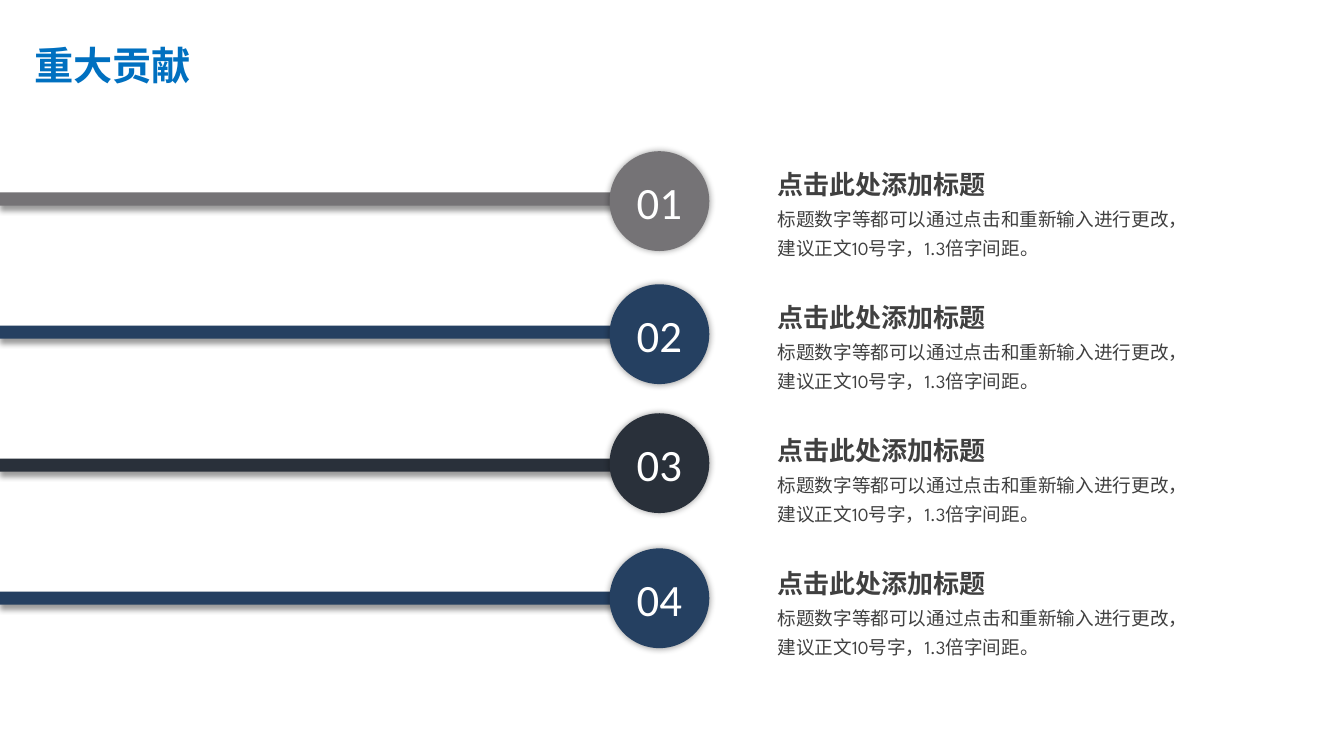
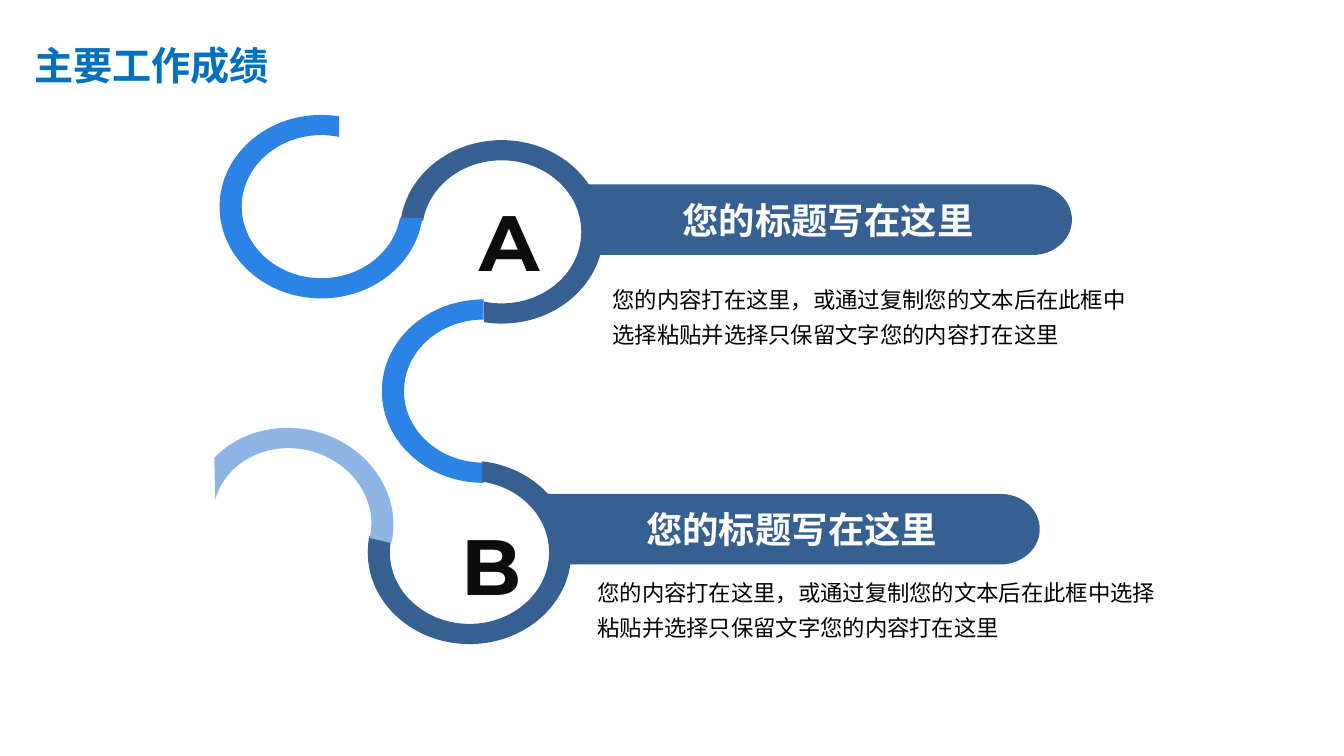
"""Build two slides: four numbered contributions and a winding path of results."""
from dataclasses import dataclass
from math import cos, radians, sin, tan

from lxml.etree import SubElement
from pptx import Presentation
from pptx.dml.color import RGBColor
from pptx.enum.shapes import MSO_SHAPE as Preset
from pptx.enum.text import MSO_ANCHOR as Anchor, MSO_AUTO_SIZE as AutoSize, PP_ALIGN as Align
from pptx.oxml.ns import qn
from pptx.util import Emu, Pt

EMU_PER_PX = 9144
TITLE_ONLY = 5


@dataclass(frozen=True)
class TextStyle:
    font: str
    size: float
    color: str
    bold: bool = False
    spacing: float = 1.0


@dataclass(frozen=True)
class Theme:
    cjk_font: str = "Noto Sans CJK SC"
    gray: str = "757376"
    navy: str = "254061"
    charcoal: str = "29303A"
    steel: str = "376092"
    azure: str = "2B83E5"
    sky: str = "8EB4E3"
    shadow: str = "000000"
    title: TextStyle = TextStyle("Noto Sans CJK SC", 28, "0070C0", True)
    number: TextStyle = TextStyle("Calibri", 32, "FFFFFF")
    heading: TextStyle = TextStyle("Calibri", 18.6, "404040", True, 1.3)
    detail: TextStyle = TextStyle("League Spartan", 13.3, "404040", False, 1.3)
    banner: TextStyle = TextStyle("Noto Sans CJK SC", 26, "FFFFFF", True)
    letter: TextStyle = TextStyle("Montserrat", 56, "0D0D0D", True)
    body: TextStyle = TextStyle("Noto Sans CJK SC", 16, "000000", False, 1.3)


THEME = Theme()
NARROW_INSETS = (10, 5)
WIDE_INSETS = (13, 6)
OUTER_RADII = (101, 91)
INNER_RADII = (79, 71)


def px(length):
    return Emu(round(length * EMU_PER_PX))


def write(shape, text, style, align=Align.LEFT, anchor=Anchor.TOP, insets=NARROW_INSETS):
    frame = shape.text_frame
    frame.text = text
    frame.word_wrap = True
    frame.vertical_anchor = anchor
    frame.margin_left = frame.margin_right = px(insets[0])
    frame.margin_top = frame.margin_bottom = px(insets[1])
    paragraph = frame.paragraphs[0]
    paragraph.alignment = align
    paragraph.line_spacing = style.spacing
    for run in paragraph.runs:
        run.font.name = style.font
        run.font.size = Pt(style.size)
        run.font.bold = style.bold
        run.font.color.rgb = RGBColor.from_string(style.color)
        SubElement(run.font._element, qn("a:ea"), typeface=THEME.cjk_font)


def paint(shape, color):
    shape.fill.solid()
    shape.fill.fore_color.rgb = RGBColor.from_string(color)
    shape.line.fill.background()
    shape.shadow.inherit = False


def cast_shadow(shape, blur, distance, angle):
    effects = shape._element.spPr.find(qn("a:effectLst"))
    shadow = SubElement(effects, qn("a:outerShdw"), blurRad=str(Pt(blur)), dist=str(Pt(distance)),
                        dir=str(angle * 60000), algn="ctr", rotWithShape="0")
    tint = SubElement(shadow, qn("a:srgbClr"), val=THEME.shadow)
    SubElement(tint, qn("a:alpha"), val="40000")


def add_preset(slide, preset, box, color):
    shape = slide.shapes.add_shape(preset, *map(px, box))
    paint(shape, color)
    return shape


def add_label(shapes, box, text, style, insets=NARROW_INSETS, wrap=True):
    label = shapes.add_textbox(*map(px, box))
    write(label, text, style, insets=insets)
    label.text_frame.word_wrap = wrap
    label.text_frame.auto_size = AutoSize.SHAPE_TO_FIT_TEXT


def add_outline(slide, start, segments, color):
    """Draw a closed outline whose segments hold one point (line) or three (curve)."""
    builder = slide.shapes.build_freeform(px(start[0]), px(start[1]))
    builder.add_line_segments([(px(x), px(y)) for segment in segments for x, y in segment])
    outline = builder.convert_to_shape()
    strokes = list(outline._element.iter(qn("a:lnTo")))
    for segment in segments:
        first, *others = [strokes.pop(0) for _ in segment]
        if others:
            first.tag = qn("a:cubicBezTo")
        for stroke in others:
            first.append(stroke[0])
            stroke.getparent().remove(stroke)
    track = next(outline._element.iter(qn("a:moveTo"))).getparent()
    SubElement(track, qn("a:close"))
    paint(outline, color)
    return outline


def arc(center, radii, span, tilt=0):
    """Return the start and curves of an elliptical arc, split at its quadrants."""
    turn_x, turn_y = cos(radians(tilt)), sin(radians(tilt))

    def place(x, y):
        x, y = x * radii[0], y * radii[1]
        return center[0] + x * turn_x - y * turn_y, center[1] + x * turn_y + y * turn_x

    low, high = min(span), max(span)
    stops = [low, *[angle for angle in range(-360, 721, 90) if low < angle < high], high]
    if span[0] > span[1]:
        stops.reverse()
    angles = [radians(stop) for stop in stops]
    curves = []
    for a, b in zip(angles, angles[1:]):
        reach = 4 / 3 * tan((b - a) / 4)
        curves.append([place(cos(a) - reach * sin(a), sin(a) + reach * cos(a)),
                       place(cos(b) + reach * sin(b), sin(b) - reach * cos(b)),
                       place(cos(b), sin(b))])
    return place(cos(angles[0]), sin(angles[0])), curves


def add_ribbon(slide, center, outer_span, inner_span, color, tilt=0):
    start, outer_curves = arc(center, OUTER_RADII, outer_span, tilt)
    turn, inner_curves = arc(center, INNER_RADII, inner_span[::-1], tilt)
    add_outline(slide, start, [*outer_curves, [turn], *inner_curves], color)


def add_banner(slide, left, foot, top, right, text):
    height, cap = 70, 39
    middle = top + height / 2
    cap_start, cap_curves = arc((right - cap, middle), (cap, height / 2), (-90, 90))
    segments = [[cap_start], *cap_curves, [(foot, top + height)]]
    banner = add_outline(slide, (left, top), segments, THEME.steel)
    write(banner, text, THEME.banner, Align.CENTER, Anchor.MIDDLE, WIDE_INSETS)


def add_titled_slide(deck, text):
    slide = deck.slides.add_slide(deck.slide_layouts[TITLE_ONLY])
    title = slide.shapes.title
    title.left, title.top, title.width, title.height = map(px, (24, 36, 370, 57))
    write(title, text, THEME.title)
    title.text_frame.auto_size = AutoSize.SHAPE_TO_FIT_TEXT
    return slide


def build_contributions(deck):
    slide = add_titled_slide(deck, "重大贡献")
    pitch = 132
    rows = [(THEME.gray, 150), (THEME.navy, 282), (THEME.charcoal, 410), (THEME.navy, 544)]
    for index, (color, _) in enumerate(rows):
        bar = add_preset(slide, Preset.RECTANGLE, (0, 191 + index * pitch, 632, 13), color)
        cast_shadow(bar, 4, 3, 90)
    for index, (color, circle_top) in enumerate(rows):
        circle = add_preset(slide, Preset.OVAL, (605, circle_top, 99, 99), color)
        cast_shadow(circle, 5, 0, 0)
        write(circle, f"{index + 1:02}", THEME.number, Align.CENTER, Anchor.MIDDLE)
    for index in range(len(rows)):
        entry = slide.shapes.add_group_shape().shapes
        add_label(entry, (762, 195 + index * pitch, 442, 68),
                  "标题数字等都可以通过点击和重新输入进行更改，建议正文10号字，1.3倍字间距。",
                  THEME.detail)
        add_label(entry, (762, 153 + index * pitch, 229, 51), "点击此处添加标题",
                  THEME.heading, wrap=False)


def build_results(deck):
    slide = add_titled_slide(deck, "主要工作成绩")
    ribbons = [
        ((498, 230), (187, 460), (189, 463), THEME.steel, 0),
        ((480, 388), (90, 270), (90, 270), THEME.azure, 0),
        ((466, 548), (-83, 190), (-81, 192), THEME.steel, 0),
        ((319, 205), (7, 280), (9, 283), THEME.azure, 0),
        ((290, 516), (208, 360), (182, 360), THEME.sky, 13),
    ]
    for ribbon in ribbons:
        add_ribbon(slide, *ribbon)

    for banner_edges in [(580, 580, 183, 1064), (540, 549, 490, 1032)]:
        add_banner(slide, *banner_edges, "您的标题写在这里")
    for letter, left, top in [("A", 463, 186), ("B", 445, 507)]:
        add_label(slide.shapes, (left, top, 74, 107), letter, THEME.letter, WIDE_INSETS)
    for body_box in [(595, 270, 541, 83), (580, 561, 581, 83)]:
        add_label(slide.shapes, body_box,
                  "您的内容打在这里，或通过复制您的文本后在此框中选择粘贴并选择只保留文字您的内容打在这里",
                  THEME.body, WIDE_INSETS)


def main():
    deck = Presentation()
    deck.slide_width, deck.slide_height = px(1334), px(750)
    build_contributions(deck)
    build_results(deck)
    deck.save("out.pptx")


if __name__ == "__main__":
    main()
